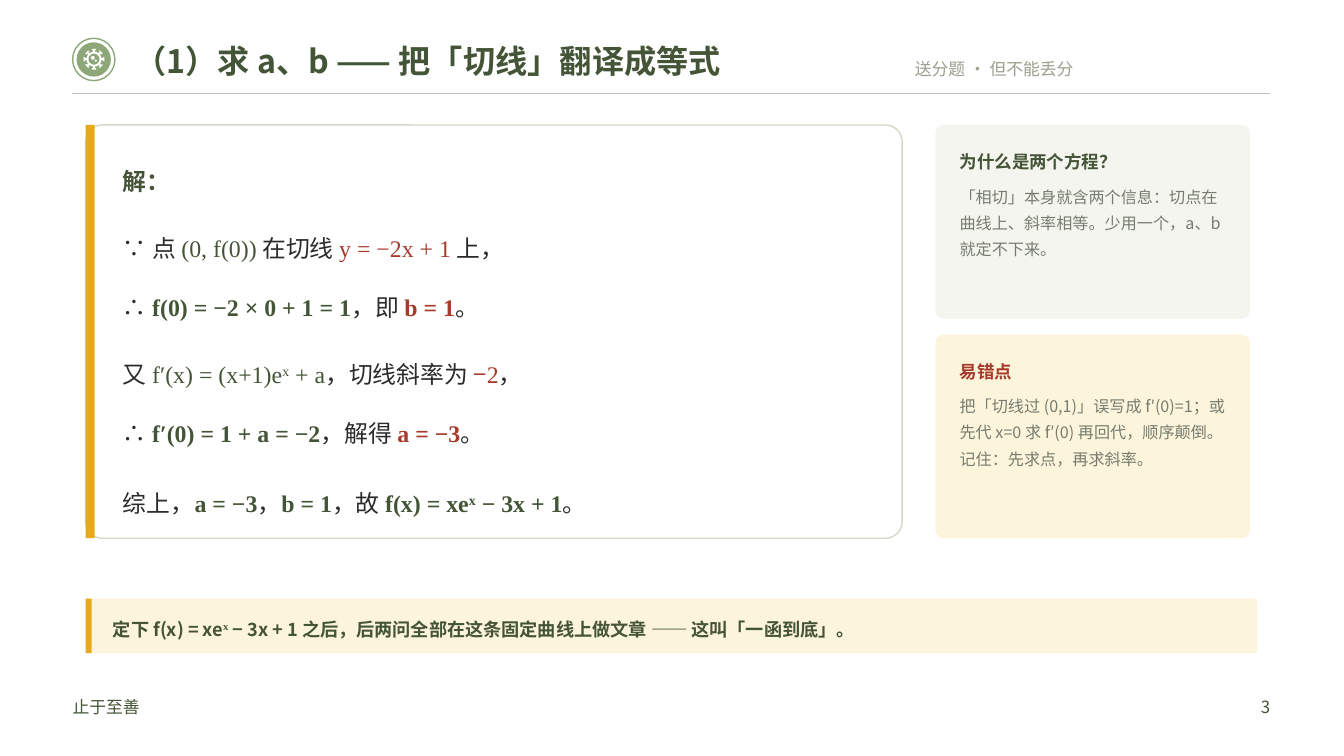
from dataclasses import dataclass
from math import cos, radians, sin

from lxml import etree
from pptx import Presentation
from pptx.dml.color import RGBColor
from pptx.enum.shapes import MSO_CONNECTOR, MSO_SHAPE
from pptx.enum.text import MSO_ANCHOR, MSO_AUTO_SIZE, PP_ALIGN
from pptx.oxml.ns import qn
from pptx.util import Inches, Pt

RECT, ROUND, OVAL = MSO_SHAPE.RECTANGLE, MSO_SHAPE.ROUNDED_RECTANGLE, MSO_SHAPE.OVAL
TOP, MIDDLE = MSO_ANCHOR.TOP, MSO_ANCHOR.MIDDLE
LEFT, RIGHT = PP_ALIGN.LEFT, PP_ALIGN.RIGHT
GROW = MSO_AUTO_SIZE.SHAPE_TO_FIT_TEXT
STRAIGHT = MSO_CONNECTOR.STRAIGHT

WHITE = RGBColor(0xFF, 0xFF, 0xFF)
GREEN = RGBColor(0x44, 0x54, 0x37)
SAGE = RGBColor(0x8D, 0xA7, 0x78)
BORDER = RGBColor(0xD5, 0xD8, 0xC7)
MIST = RGBColor(0xF4, 0xF5, 0xEE)
CREAM = RGBColor(0xFD, 0xF4, 0xDC)
AMBER = RGBColor(0xE8, 0xA9, 0x1C)
RED = RGBColor(0xA6, 0x3A, 0x2B)
INK = RGBColor(0x2B, 0x2B, 0x2B)
GRAY = RGBColor(0x76, 0x7D, 0x6E)
PALE = RGBColor(0x9A, 0x9F, 0x8E)
RULE = RGBColor(0xBF, 0xBF, 0xBF)

SANS, MATH = "Noto Sans CJK SC", "Times New Roman"
CELL = Inches(0.1)  # side of one grid column and row
COLUMNS, ROWS = 133.33, 75


@dataclass(frozen=True)
class Area:
    column: float
    row: float
    columns: float
    rows: float

    def lengths(self) -> list[int]:
        return [round(n * CELL) for n in (self.column, self.row, self.columns, self.rows)]


@dataclass(frozen=True)
class Panel:
    area: Area
    fill: RGBColor | None = None
    kind: int = ROUND
    line: RGBColor | None = None


@dataclass(frozen=True)
class Piece:
    text: str
    font: str | None = None
    color: RGBColor | None = None
    bold: bool | None = None
    raised: bool = False


@dataclass(frozen=True)
class Line:
    pieces: list[Piece]
    size: float
    color: RGBColor = GREEN
    bold: bool = False
    spacing: float = 1.28
    before: float = 0
    align: int = LEFT


def draw_panel(page, panel: Panel) -> None:
    shape = page.shapes.add_shape(panel.kind, *panel.area.lengths())
    shape.shadow.inherit = False
    if panel.kind == ROUND:
        shape.adjustments[0] = 0.04
    if panel.fill is None:
        shape.fill.background()
    else:
        shape.fill.solid()
        shape.fill.fore_color.rgb = panel.fill
    if panel.line is None:
        shape.line.fill.background()
    else:
        shape.line.color.rgb = panel.line
        shape.line.width = Pt(1)


def draw_text(page, area: Area, lines: list[Line], anchor: int = TOP) -> None:
    frame = page.shapes.add_textbox(*area.lengths()).text_frame
    frame.margin_left = frame.margin_right = frame.margin_top = frame.margin_bottom = 0
    frame.word_wrap, frame.auto_size, frame.vertical_anchor = True, GROW, anchor
    for index, line in enumerate(lines):
        para = frame.add_paragraph() if index else frame.paragraphs[0]
        para.alignment, para.line_spacing = line.align, line.spacing
        if line.before:
            para.space_before = Pt(line.before)
        font = para.font
        font.size, font.bold, font.name = Pt(line.size), line.bold, SANS
        font.color.rgb = line.color
        defaults = para._p.pPr.find(qn("a:defRPr"))
        etree.SubElement(defaults, qn("a:ea"), typeface=SANS)
        for piece in line.pieces:
            span = para.add_run()
            span.text = piece.text
            if piece.font:
                span.font.name = piece.font
            if piece.color is not None:
                span.font.color.rgb = piece.color
            if piece.bold is not None:
                span.font.bold = piece.bold
            if piece.raised:
                span._r.get_or_add_rPr().set("baseline", "30000")


def draw_rule(page, left: float, right: float, row: float) -> None:
    ends = [round(n * CELL) for n in (left, row, right, row)]
    rule = page.shapes.add_connector(STRAIGHT, *ends)
    rule.line.color.rgb, rule.line.width = RULE, Pt(0.5)
    etree.SubElement(rule._element.spPr, qn("a:effectLst"))


def polar(x: float, y: float, radius: float, angle: float) -> tuple[float, float]:
    return x + radius * cos(radians(angle)), y + radius * sin(radians(angle))


def draw_gear(page, x: float, y: float) -> None:
    """Draw a knobbed ring centred at x, y, in thousandths of an inch."""
    knob = [(-7, 75), (-6, 92), (-13, 90), (-12, 105), (12, 105), (13, 90),
            (6, 92), (7, 75), (22.5, 75)]
    outlines = [[polar(x, y, radius, 45 * tooth + angle)
                 for tooth in range(8) for angle, radius in knob]]
    for across, down, radius in [(0, 0, 55), (-12, -13, 18), (17, 15, 10)]:
        outlines.append([polar(x + across, y + down, radius, 15 * turn) for turn in range(24)])
    builder = page.shapes.build_freeform(*outlines[0][0], scale=Inches(1) / 1000)
    for index, outline in enumerate(outlines):
        if index:
            builder.move_to(*outline[0])
        builder.add_line_segments(outline[1:], close=True)
    gear = builder.convert_to_shape()
    gear.shadow.inherit = False
    gear.fill.solid()
    gear.fill.fore_color.rgb = WHITE
    gear.line.fill.background()


def formula(text: str, color: RGBColor = GREEN, bold: bool = True, raised: bool = False) -> Piece:
    return Piece(text, MATH, color, bold, raised)


def step(before: float, *pieces: Piece) -> Line:
    return Line(list(pieces), 17, INK, spacing=1.72, before=before)


def note(heading: str, color: RGBColor, body: str) -> list[Line]:
    return [Line([Piece(heading)], 12.5, color, True),
            Line([Piece(body)], 11.5, GRAY, spacing=1.35, before=6)]


PANELS = [
    Panel(Area(7.2, 3.8, 4.2, 4.2), None, OVAL, SAGE),
    Panel(Area(7.6, 4.2, 3.4, 3.4), SAGE, OVAL),
    Panel(Area(8.5, 12.4, 81, 41), WHITE, ROUND, BORDER),
    Panel(Area(8.5, 12.4, 0.9, 41), AMBER, RECT),
    Panel(Area(92.8, 12.4, 31.2, 19.2), MIST),
    Panel(Area(92.8, 33.2, 31.2, 20.2), CREAM),
    Panel(Area(8.5, 59.4, 116.2, 5.4), CREAM),
    Panel(Area(8.5, 59.4, 0.6, 5.4), AMBER, RECT),
]

SOLUTION = [
    Line([Piece("解：")], 17, GREEN, True, 1.72),
    step(13, Piece("∵ 点 "), formula("(0, f(0))", bold=False), Piece(" 在切线 "),
         formula("y = −2x + 1", RED, False), Piece(" 上，")),
    step(7, Piece("∴ "), formula("f(0) = −2 × 0 + 1 = 1"), Piece("，即 "),
         formula("b = 1", RED), Piece("。")),
    step(13, Piece("又 "), formula("f′(x) = (x+1)e", bold=False),
         formula("x", bold=False, raised=True), formula(" + a", bold=False),
         Piece("，切线斜率为 "), formula("−2", RED, False), Piece("，")),
    step(7, Piece("∴ "), formula("f′(0) = 1 + a = −2"), Piece("，解得 "),
         formula("a = −3", RED), Piece("。")),
    step(15, Piece("综上，"), formula("a = −3"), Piece("，"), formula("b = 1"), Piece("，故 "),
         formula("f(x) = xe"), formula("x", raised=True), formula(" − 3x + 1"), Piece("。")),
]
SUMMARY = [Piece("定下 f(x) = xe"), formula("x", raised=True),
           Piece(" − 3x + 1 之后，后两问全部在这条固定曲线上做文章 —— 这叫「一函到底」。")]

TEXTS = [
    (Area(13.3, 3.8, 97.6, 4.4),
     [Line([Piece("（1）求 a、b —— 把「切线」翻译成等式")], 23, GREEN, True, 1)], MIDDLE),
    (Area(71, 5.3, 35.5, 3), [Line([Piece("送分题 · 但不能丢分")], 12, PALE, align=RIGHT)], TOP),
    (Area(12.2, 12.4, 75, 41), SOLUTION, MIDDLE),
    (Area(95.2, 14.4, 26.6, 16), note(
        "为什么是两个方程？", GREEN,
        "「相切」本身就含两个信息：切点在曲线上、斜率相等。少用一个，a、b 就定不下来。"), TOP),
    (Area(95.2, 35.2, 26.6, 17), note(
        "易错点", RED,
        "把「切线过 (0,1)」误写成 f′(0)=1；或先代 x=0 求 f′(0) 再回代，顺序颠倒。"
        "记住：先求点，再求斜率。"), TOP),
    (Area(11.2, 59.4, 111, 5.4), [Line(SUMMARY, 13, GREEN, True)], MIDDLE),
    (Area(7.2, 68.6, 22, 3.2), [Line([Piece("止于至善")], 12)], TOP),
    (Area(112, 68.6, 14, 3.2), [Line([Piece("3")], 12, align=RIGHT)], TOP),
]


def main() -> None:
    deck = Presentation()
    deck.slide_width, deck.slide_height = round(COLUMNS * CELL), ROWS * CELL
    page = deck.slides.add_slide(deck.slide_layouts[6])
    # Panels, badge and heading rule
    for panel in PANELS:
        draw_panel(page, panel)
    draw_gear(page, 933, 587)
    draw_rule(page, 7.1, 126, 9.3)
    # Wording
    for area, lines, anchor in TEXTS:
        draw_text(page, area, lines, anchor)
    deck.save("out.pptx")


if __name__ == "__main__":
    main()
